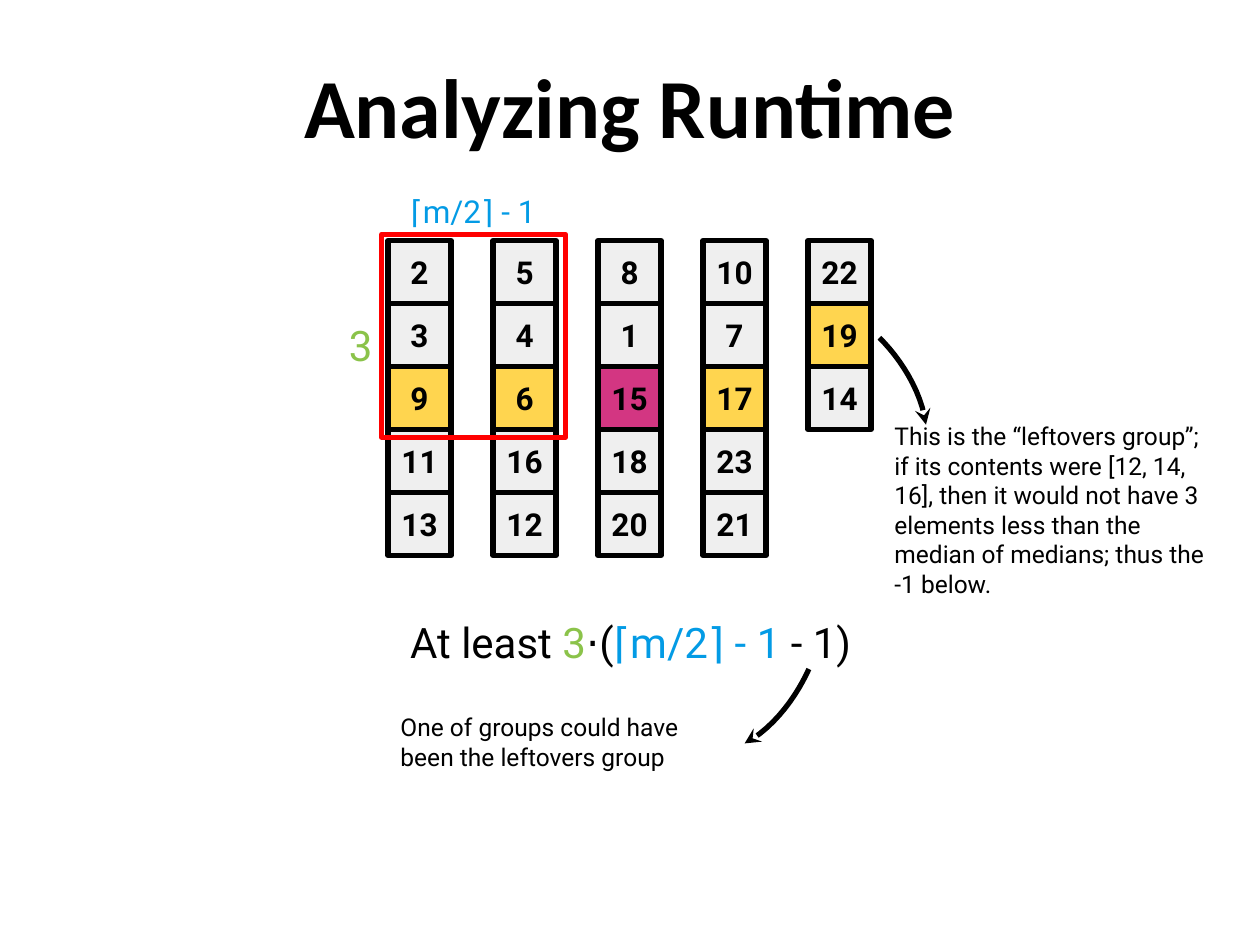
from lxml import etree
from pptx import Presentation
from pptx.dml.color import RGBColor
from pptx.enum.shapes import MSO_SHAPE
from pptx.enum.text import MSO_ANCHOR, MSO_AUTO_SIZE, PP_ALIGN
from pptx.oxml.ns import qn
from pptx.util import Inches, Pt

BLACK = RGBColor(0x00, 0x00, 0x00)
GRAY = RGBColor(0xEF, 0xEF, 0xEF)
YELLOW = RGBColor(0xFF, 0xD5, 0x4F)
MAGENTA = RGBColor(0xD3, 0x36, 0x82)
RED = RGBColor(0xFF, 0x00, 0x00)
GREEN = RGBColor(0x8B, 0xC3, 0x4A)
BLUE = RGBColor(0x03, 0x9B, 0xE5)

prs = Presentation()
prs.slide_width, prs.slide_height = Inches(10), Inches(7.5)
s = prs.slides.add_slide(prs.slide_layouts[5])


def write(sp, runs, size, align=PP_ALIGN.LEFT, bold=False, font="Roboto",
          anchor=MSO_ANCHOR.MIDDLE):
    """Fill a shape with one paragraph of (text, colour) runs."""
    tf = sp.text_frame
    tf.word_wrap = True
    tf.auto_size = MSO_AUTO_SIZE.NONE
    tf.vertical_anchor = anchor
    tf.margin_left = tf.margin_right = Inches(0.1)
    tf.margin_top = tf.margin_bottom = Inches(0.1)
    p = tf.paragraphs[0]
    p.alignment = align
    for text, color in runs:
        r = p.add_run()
        r.text = text
        r.font.name, r.font.size, r.font.bold = font, Pt(size), bold
        r.font.color.rgb = color


# Title
title = s.shapes.title
title.left, title.top = 0, Inches(0.33)
title.width, title.height = prs.slide_width, Inches(1.25)
write(title, [("Analyzing Runtime", BLACK)], 48, PP_ALIGN.CENTER, True,
      "Calibri", MSO_ANCHOR.TOP)

# Groups of five, with medians highlighted
groups = [
    [2, 3, 9, 11, 13],
    [5, 4, 6, 16, 12],
    [8, 1, 15, 18, 20],
    [10, 7, 17, 23, 21],
    [22, 19, 14],
]
medians = {9, 6, 17, 19}
median_of_medians = 15
CELL = prs.slide_width // 20
PITCH = prs.slide_width // 12
GRID_LEFT, GRID_TOP = Inches(3.08), Inches(1.91)

for col, group in enumerate(groups):
    for row, value in enumerate(group):
        sp = s.shapes.add_shape(MSO_SHAPE.RECTANGLE, GRID_LEFT + col * PITCH,
                                GRID_TOP + row * CELL, CELL, CELL)
        sp.shadow.inherit = False
        sp.fill.solid()
        if value == median_of_medians:
            sp.fill.fore_color.rgb = MAGENTA
        else:
            sp.fill.fore_color.rgb = YELLOW if value in medians else GRAY
        sp.line.color.rgb, sp.line.width = BLACK, Pt(3)
        write(sp, [(str(value), BLACK)], 18, PP_ALIGN.CENTER, True)

# Frame around the elements below the median of medians
frame = s.shapes.add_shape(MSO_SHAPE.RECTANGLE, Inches(3.03), Inches(1.86),
                           Inches(1.46), Inches(1.61))
frame.shadow.inherit = False
frame.fill.background()
frame.line.color.rgb, frame.line.width = RED, Pt(3)

# Labels, formula and remarks
CENTER, LEFT = PP_ALIGN.CENTER, PP_ALIGN.LEFT
texts = [
    (2.67, 2.51, 0.4, 0.45, 24, LEFT, [("3", GREEN)]),
    (2.93, 1.37, 1.65, 0.61, 18, CENTER, [("⌈m/2⌉ - 1", BLUE)]),
    (0.67, 4.79, 8.67, 0.6, 24, CENTER,
     [("At least ", BLACK), ("3", GREEN), ("⋅(", BLACK),
      ("⌈m/2⌉ - 1", BLUE), (" - 1)", BLACK)]),
    (3.08, 5.53, 2.72, 0.71, 14, LEFT,
     [("One of groups could have been the leftovers group", BLACK)]),
    (7, 3.42, 2.72, 1.25, 14, LEFT,
     [("This is the “leftovers group”; if its contents were [12, 14, 16], "
       "then it would not have 3 elements less than the median of medians; "
       "thus the -1 below.", BLACK)]),
]
for x, y, w, h, size, align, runs in texts:
    box = s.shapes.add_textbox(Inches(x), Inches(y), Inches(w), Inches(h))
    write(box, runs, size, align)

# Curved arrows, each a cubic curve given by four control points
curves = [
    [(6.98, 2.68), (7.14, 2.84), (7.31, 3.09), (7.35, 3.37)],
    [(6.42, 5.31), (6.34, 5.49), (6.16, 5.77), (5.91, 5.90)],
]
STEPS = 12
for curve in curves:
    points = []
    for i in range(STEPS + 1):
        t = i / STEPS
        weights = ((1 - t) ** 3, 3 * t * (1 - t) ** 2,
                   3 * t ** 2 * (1 - t), t ** 3)
        points.append(tuple(
            Inches(sum(k * pt[axis] for k, pt in zip(weights, curve)))
            for axis in (0, 1)))
    builder = s.shapes.build_freeform(*points[0])
    builder.add_line_segments(points[1:], close=False)
    arrow = builder.convert_to_shape()
    arrow.shadow.inherit = False
    arrow.fill.background()
    arrow.line.color.rgb, arrow.line.width = BLACK, Pt(3)
    etree.SubElement(arrow.line._get_or_add_ln(), qn("a:tailEnd"), type="stealth")

prs.save("out.pptx")
